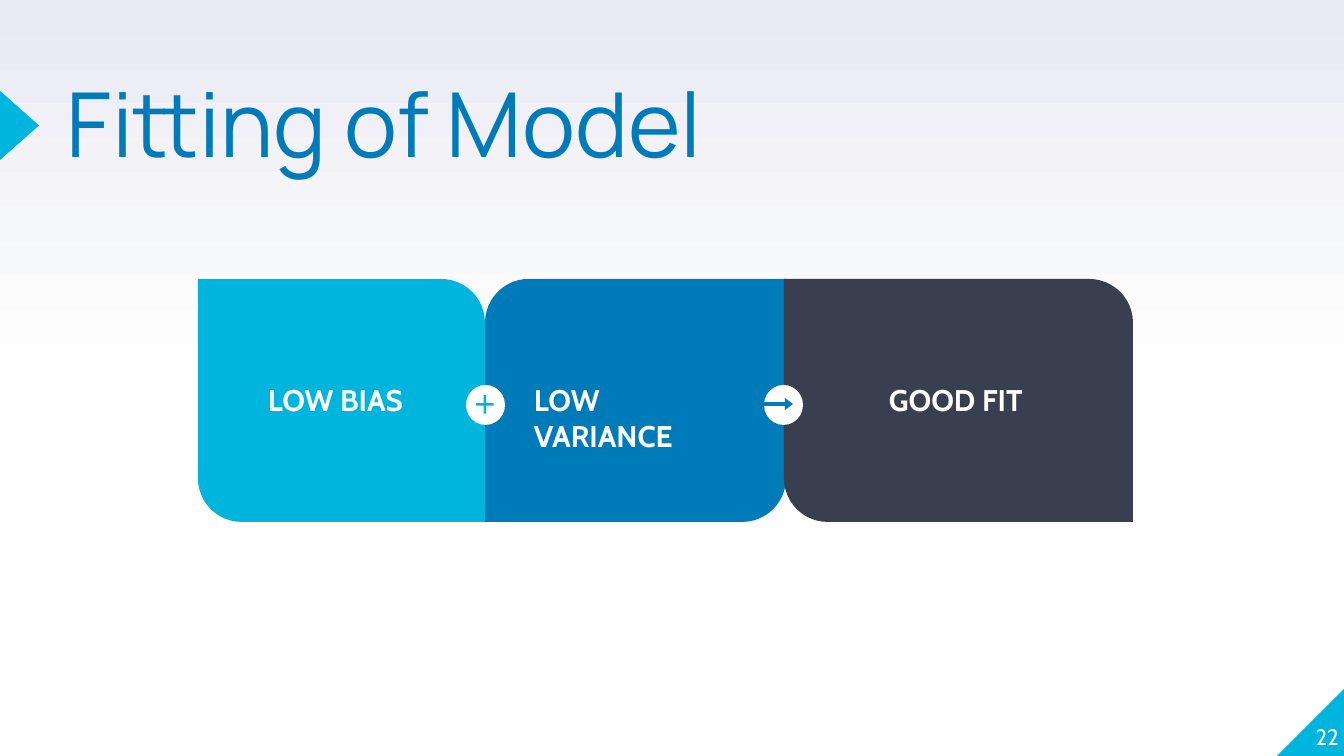
from dataclasses import dataclass
from typing import NamedTuple

from pptx import Presentation
from pptx.dml.color import RGBColor
from pptx.enum.shapes import MSO_SHAPE as Preset
from pptx.enum.text import MSO_ANCHOR as Anchor, PP_ALIGN as Align
from pptx.util import Pt

EMU_PER_PX = 914400 / 134.4


@dataclass(frozen=True)
class Theme:
    """Colours, fonts and type sizes of the slide."""
    white: str = "FFFFFF"
    haze: str = "E9EAF2"
    cyan: str = "00B5DD"
    blue: str = "007BB9"
    slate: str = "3A3F50"
    heading_font: str = "Manrope"
    body_font: str = "Cabin"
    heading_size: int = 48
    label_size: int = 16
    number_size: int = 12


class Box(NamedTuple):
    """A rectangle in px."""
    left: int
    top: int
    width: int
    height: int

    def inner(self, dx, dy, width, height):
        """Return a box offset from this one's top left corner."""
        return Box(self.left + dx, self.top + dy, width, height)

    def emu(self):
        """Return the four lengths in EMU."""
        return [px(length) for length in self]


THEME = Theme()


def px(length):
    """Turn px into EMU."""
    return round(length * EMU_PER_PX)


def add_preset(slide, preset, box, colour, adjustments=(), rotation=0):
    """Draw a flat, unlined preset shape."""
    shape = slide.shapes.add_shape(preset, *box.emu())
    shape.shadow.inherit = False
    shape.fill.solid()
    shape.fill.fore_color.rgb = RGBColor.from_string(colour)
    shape.line.fill.background()
    shape.rotation = rotation
    for index, value in enumerate(adjustments):
        shape.adjustments[index] = value


def add_text(slide, box, wording, font, size, colour, align=Align.LEFT,
             anchor=Anchor.TOP, inset=0, bold=False, spacing=1.0):
    """Place one wrapped paragraph in a box."""
    frame = slide.shapes.add_textbox(*box.emu()).text_frame
    frame.word_wrap = True
    frame.vertical_anchor = anchor
    frame.margin_left = frame.margin_right = px(inset)
    frame.margin_top = frame.margin_bottom = px(inset)
    frame.text = wording
    paragraph = frame.paragraphs[0]
    paragraph.alignment = align
    paragraph.line_spacing = spacing
    run_font = paragraph.runs[0].font
    run_font.name = font
    run_font.size = Pt(size)
    run_font.bold = bold
    run_font.color.rgb = RGBColor.from_string(colour)


def paint_background(slide):
    """Fade the background from haze at the top to white halfway down."""
    fill = slide.background.fill
    fill.gradient()
    fill.gradient_angle = 90
    stops = zip(fill.gradient_stops, (0.5, 1), (THEME.white, THEME.haze))
    for stop, position, colour in stops:
        stop.position = position
        stop.color.rgb = RGBColor.from_string(colour)


def add_heading(slide, box, wording):
    """Write the title beside its edge marker."""
    add_preset(slide, Preset.ISOSCELES_TRIANGLE, box.inner(-15, 17, 69, 39),
               THEME.cyan, (0.5,), rotation=90)
    add_text(slide, box.inner(67, 0, 735, 126), wording, THEME.heading_font,
             THEME.heading_size, THEME.blue, spacing=0.8)


def add_page_corner(slide, box, number):
    """Write the page number over the corner triangle."""
    add_preset(slide, Preset.RIGHT_TRIANGLE, box, THEME.cyan, rotation=270)
    add_text(slide, box.inner(-6, -6, 68, 69), number, THEME.body_font,
             THEME.number_size, THEME.white, Align.RIGHT, Anchor.BOTTOM)


def add_card(slide, box, colour, corners, wording, label_left, label_width,
             align=Align.LEFT):
    """Draw one card with two rounded corners and its label."""
    add_preset(slide, Preset.ROUND_2_DIAG_RECTANGLE, box, colour, corners)
    add_text(slide, box.inner(label_left, 90, label_width, 71), wording,
             THEME.body_font, THEME.label_size, THEME.white, align,
             inset=13, bold=True)


def add_joint(slide, box, icon, icon_box, colour, adjustments):
    """Draw a white disc with an icon over a seam between cards."""
    add_preset(slide, Preset.OVAL, box, THEME.white)
    add_preset(slide, icon, box.inner(*icon_box), colour, adjustments)


def add_equation(slide, box):
    """Lay out low bias plus low variance leading to a good fit."""
    falling, rising = (0.18, 0), (0, 0.18)
    bias = box.inner(0, 0, 287, box.height)
    variance = box.inner(287, 0, 301, box.height)
    fit = box.inner(586, 0, 349, box.height)
    add_card(slide, variance, THEME.blue, falling, "LOW VARIANCE", 36, 231)
    add_card(slide, bias, THEME.cyan, rising, "LOW BIAS", 24, 227,
             Align.CENTER)
    add_card(slide, fit, THEME.slate, rising, "GOOD FIT", 92, 165)
    add_joint(slide, fit.inner(-20, 106, 39, 40), Preset.RIGHT_ARROW,
              (-1, 13, 30, 12), THEME.blue, (0.32, 0.67))
    add_joint(slide, variance.inner(-19, 106, 39, 40), Preset.MATH_PLUS,
              (7, 7, 24, 25), THEME.cyan, (0.1,))


def main():
    """Build and save the slide."""
    deck = Presentation()
    deck.slide_width, deck.slide_height = px(1344), px(756)
    slide = deck.slides.add_slide(deck.slide_layouts[6])
    paint_background(slide)
    add_page_corner(slide, Box(1277, 687, 69, 69), "22")
    add_heading(slide, Box(0, 89, 802, 126), "Fitting of Model")
    add_equation(slide, Box(198, 279, 935, 243))
    deck.save("out.pptx")


if __name__ == "__main__":
    main()
